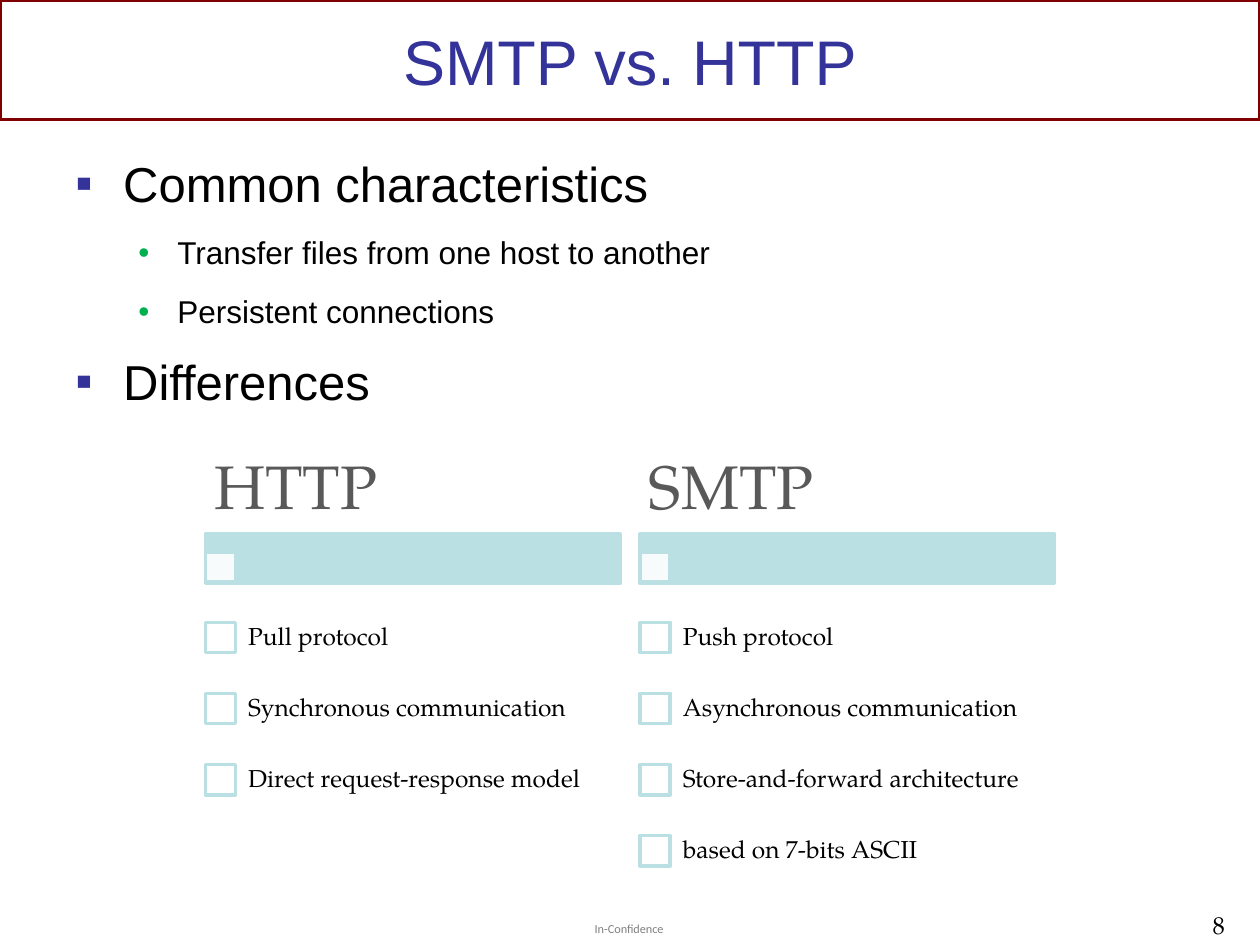
from typing import NamedTuple

from lxml.etree import SubElement
from pptx import Presentation
from pptx.dml.color import RGBColor
from pptx.enum.shapes import MSO_SHAPE
from pptx.enum.text import MSO_ANCHOR, PP_ALIGN
from pptx.oxml.ns import qn
from pptx.util import Inches, Pt

HUES = {
    "blue": "333399",
    "green": "00B050",
    "maroon": "800000",
    "teal": "BBE0E3",
    "gray": "595959",
    "white": "FFFFFF",
    "black": "000000",
}
SERIF = "TeX Gyre Pagella"


class Box(NamedTuple):
    left: float
    top: float
    width: float
    height: float


class Level(NamedTuple):
    size: int
    indent: float
    hang: float
    mark: str
    hue: str


class Column(NamedTuple):
    left: float
    head: str
    items: list[str]


LEVELS = [
    Level(28, 0.38, 0.38, "▪", "blue"),
    Level(18, 0.81, 0.31, "•", "green"),
]
POINTS = [
    (0, "Common characteristics"),
    (1, "Transfer files from one host to another"),
    (1, "Persistent connections"),
    (0, "Differences"),
]
COLUMNS = [
    Column(1.63, "HTTP", ["Pull protocol", "Synchronous communication",
                          "Direct request-response model"]),
    Column(5.08, "SMTP", ["Push protocol", "Asynchronous communication",
                          "Store-and-forward architecture",
                          "based on 7-bits ASCII"]),
]


def color(hue: str) -> RGBColor:
    return RGBColor.from_string(HUES[hue])


def fade(part, share: int) -> None:
    """Set the opacity, in percent, of the first solid fill in a part."""
    fill = next(part.iter(qn("a:solidFill")))
    SubElement(fill[0], qn("a:alpha"), val=str(share * 1000))


def style(font, size: float, name: str, hue: str) -> None:
    font.size = Pt(size)
    font.name = name
    font.color.rgb = color(hue)


def add_rect(slide, box: Box, line: str, fill: str | None = None):
    rect = slide.shapes.add_shape(MSO_SHAPE.RECTANGLE, *map(Inches, box))
    rect.shadow.inherit = False
    if fill:
        rect.fill.solid()
        rect.fill.fore_color.rgb = color(fill)
    else:
        rect.fill.background()
    rect.line.color.rgb = color(line)
    rect.line.width = Pt(2)
    return rect


def add_text(slide, box: Box, text: str, size: float, hue: str = "black",
             name: str = SERIF, pad: tuple[float, float] = (0.1, 0.05),
             anchor=MSO_ANCHOR.TOP, align=PP_ALIGN.LEFT, wrap: bool = True):
    frame = slide.shapes.add_textbox(*map(Inches, box)).text_frame
    frame.word_wrap = wrap
    frame.vertical_anchor = anchor
    frame.margin_left = frame.margin_right = Inches(pad[0])
    frame.margin_top = frame.margin_bottom = Inches(pad[1])
    frame.text = text
    para = frame.paragraphs[0]
    para.alignment = align
    style(para.runs[0].font, size, name, hue)
    return para


def add_points(slide, box: Box) -> None:
    frame = slide.shapes.add_textbox(*map(Inches, box)).text_frame
    frame.word_wrap = True
    for i, (depth, text) in enumerate(POINTS):
        level = LEVELS[depth]
        para = frame.add_paragraph() if i else frame.paragraphs[0]
        para.text = text
        para.level = depth
        para.space_before = Pt(6 if i else 0)
        para.space_after = Pt(6)
        props = para._p.get_or_add_pPr()
        props.set("marL", str(Inches(level.indent)))
        props.set("indent", str(-Inches(level.hang)))
        tint = SubElement(props, qn("a:buClr"))
        SubElement(tint, qn("a:srgbClr"), val=HUES[level.hue])
        SubElement(props, qn("a:buFont"), typeface="Arial")
        SubElement(props, qn("a:buChar"), char=level.mark)
        style(para.runs[0].font, level.size, "Arial", "black")


def add_column(slide, col: Column) -> None:
    # Heading and band
    add_rect(slide, Box(col.left, 4.24, 3.29, 0.39), "teal", "teal")
    tile = add_rect(slide, Box(col.left, 4.38, 0.24, 0.24), "teal", "white")
    fade(tile._element.spPr, 90)
    head = add_text(slide, Box(col.left, 3.54, 3.29, 0.69), col.head, 35,
                    "gray", pad=(0.07, 0.05), anchor=MSO_ANCHOR.MIDDLE)
    head.line_spacing = 0.9

    # Items with check boxes
    for i, item in enumerate(col.items):
        top = 4.78 + i * 0.564
        add_rect(slide, Box(col.left, top + 0.16, 0.24, 0.24), "teal", "white")
        para = add_text(slide, Box(col.left + 0.23, top, 3.06, 0.56), item, 14,
                        pad=(0.11, 0.11), anchor=MSO_ANCHOR.MIDDLE)
        para.line_spacing = 0.9


def main() -> None:
    deck = Presentation()
    deck.slide_width, deck.slide_height = Inches(10), Inches(7.5)
    slide = deck.slides.add_slide(deck.slide_layouts[5])

    # Title in its frame
    add_rect(slide, Box(0, 0, 10, 0.95), "maroon")
    title = slide.shapes.title
    title.left, title.top = Inches(0.5), Inches(0.08)
    title.width, title.height = Inches(9), Inches(0.79)
    title.text_frame.text = "SMTP vs. HTTP"
    title.text_frame.vertical_anchor = MSO_ANCHOR.MIDDLE
    para = title.text_frame.paragraphs[0]
    para.alignment = PP_ALIGN.CENTER
    style(para.runs[0].font, 36, "Arial", "blue")

    # Points and comparison
    add_points(slide, Box(0.5, 1.17, 9, 2.25))
    for col in COLUMNS:
        add_column(slide, col)

    # Footer and page number
    note = add_text(slide, Box(4.72, 7.31, 0.57, 0.12), "In-Confidence", 7,
                    name="Calibri", pad=(0, 0), wrap=False)
    fade(note._p, 50)
    add_text(slide, Box(7.62, 7.17, 2.2, 0.3), "8", 14, align=PP_ALIGN.RIGHT)

    deck.save("out.pptx")


if __name__ == "__main__":
    main()
